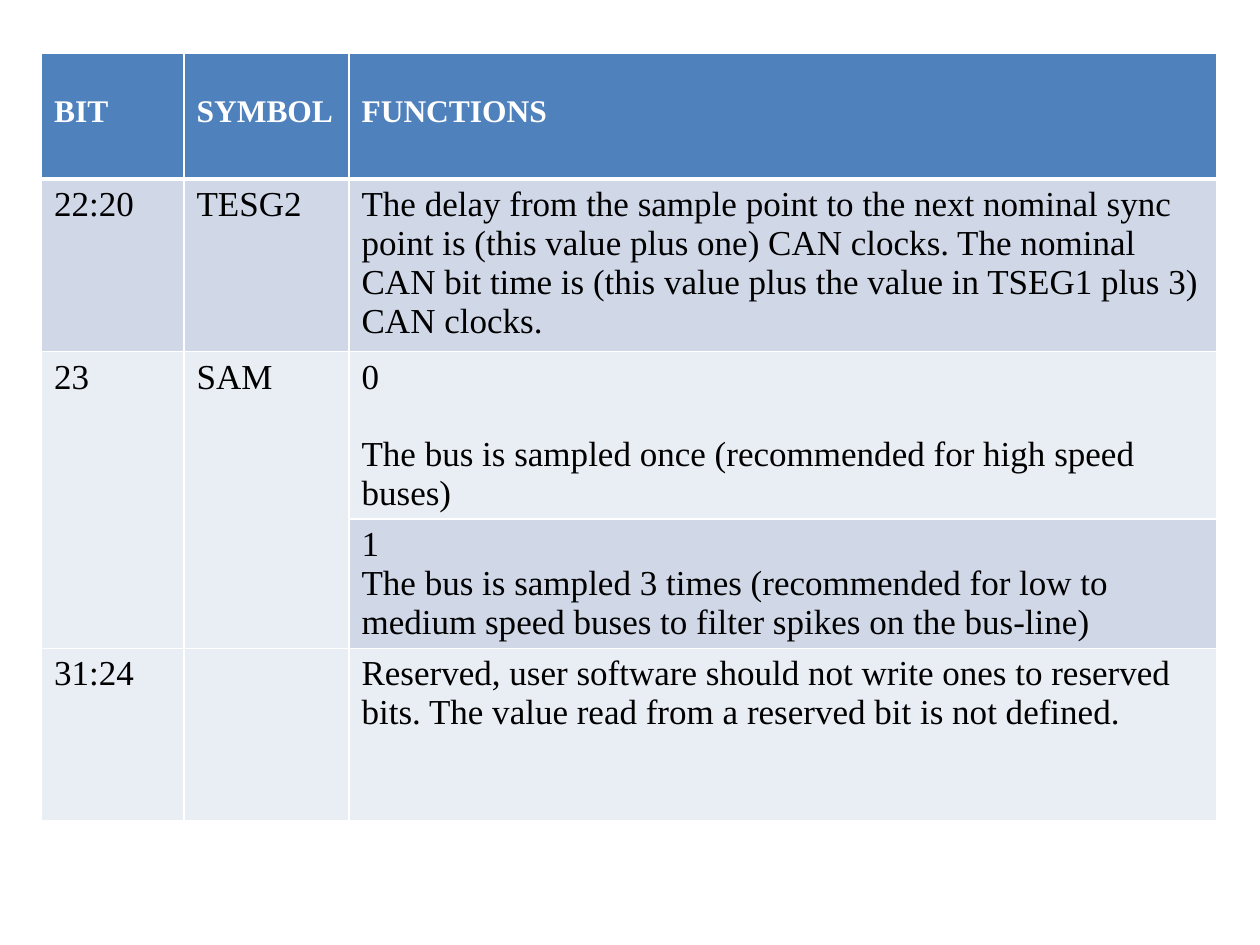
from pptx import Presentation
from pptx.dml.color import RGBColor
from pptx.enum.text import MSO_ANCHOR
from pptx.oxml import parse_xml
from pptx.oxml.ns import nsdecls
from pptx.util import Inches, Pt

# Content: each cell is a list of paragraphs
HEAD = [["BIT"], ["SYMBOL"], ["FUNCTIONS"]]
BODY = [
    [["22:20"], ["TESG2"],
     ["The delay from the sample point to the next nominal sync point is "
      "(this value plus one) CAN clocks. The nominal CAN bit time is "
      "(this value plus the value in TSEG1 plus 3) CAN clocks."]],
    [["23"], ["SAM"],
     ["0", "The bus is sampled once (recommended for high speed buses)"]],
    [[], [],
     ["1", "The bus is sampled 3 times (recommended for low to medium "
      "speed buses to filter spikes on the bus-line)"]],
    [["31:24"], [],
     ["Reserved, user software should not write ones to reserved bits. "
      "The value read from a reserved bit is not defined."]],
]
MERGED = [((2, 0), (3, 0)), ((2, 1), (3, 1))]
GAPS = {(2, 2): Pt(22)}  # space between the paragraphs of a cell

# Layout in inches
LEFT, TOP, HIGH = 0.33, 0.42, 6.33
COLS = [1.13, 1.31, 6.89]
ROWS = [1, 1.37, 0.68, 0.68, 1.37]

THEME = {
    "head": {"name": "Times New Roman", "size": Pt(18), "bold": True},
    "body": {"name": "Times New Roman", "size": Pt(20), "bold": False},
    "ink": {"head": "FFFFFF", "body": "000000"},
    "fill": {"head": "4F81BD", "odd": "D0D8E8", "even": "E9EDF4"},
    "rule": "FFFFFF", "thin": 1, "thick": 3,
}
HEAD_CELL = {"vertical_anchor": MSO_ANCHOR.MIDDLE,
             "margin_bottom": Inches(0.11)}


def apply(item, form):
    for key, val in form.items():
        setattr(item, key, val)


def edge(cell, side, width):
    cell._tc.get_or_add_tcPr().append(parse_xml(
        f'<a:ln{side} {nsdecls("a")} w="{Pt(width)}"><a:solidFill>'
        f'<a:srgbClr val="{THEME["rule"]}"/></a:solidFill></a:ln{side}>'))


def style(cell, row, col):
    # The heavy rule lies between the header and the first body row
    for side in "LRTB":
        heavy = (row, side) in [(0, "B"), (1, "T")]
        edge(cell, side, THEME["thick" if heavy else "thin"])
    if row == 0:
        tone = "head"
        apply(cell, HEAD_CELL)
    else:
        # A merged cell keeps the tone of its first row
        first = 2 if row == 3 and col < 2 else row
        tone = "odd" if first % 2 else "even"
    cell.fill.solid()
    cell.fill.fore_color.rgb = RGBColor.from_string(THEME["fill"][tone])


def write(cell, texts, kind, gap):
    frame = cell.text_frame
    for num, text in enumerate(texts or [""]):
        para = frame.add_paragraph() if num else frame.paragraphs[0]
        if num and gap:
            para.space_before = gap
        if text:
            para.add_run().text = text
        for part in [para, *para.runs]:
            apply(part.font, THEME[kind])
            part.font.color.rgb = RGBColor.from_string(THEME["ink"][kind])


def main():
    deck = Presentation()
    deck.slide_width, deck.slide_height = Inches(10), Inches(7.5)
    slide = deck.slides.add_slide(deck.slide_layouts[6])

    # Register table
    frame = slide.shapes.add_table(
        len(ROWS), len(COLS), Inches(LEFT), Inches(TOP),
        Inches(sum(COLS)), Inches(HIGH))
    table = frame.table
    for col, width in zip(table.columns, COLS):
        col.width = Inches(width)
    for row, height in zip(table.rows, ROWS):
        row.height = Inches(height)
    frame.height = Inches(HIGH)

    # Cells
    for r, cells in enumerate([HEAD, *BODY]):
        for c, texts in enumerate(cells):
            cell = table.cell(r, c)
            style(cell, r, c)
            write(cell, texts, "body" if r else "head", GAPS.get((r, c)))
    for start, end in MERGED:
        table.cell(*start).merge(table.cell(*end))

    deck.save("out.pptx")


if __name__ == "__main__":
    main()
